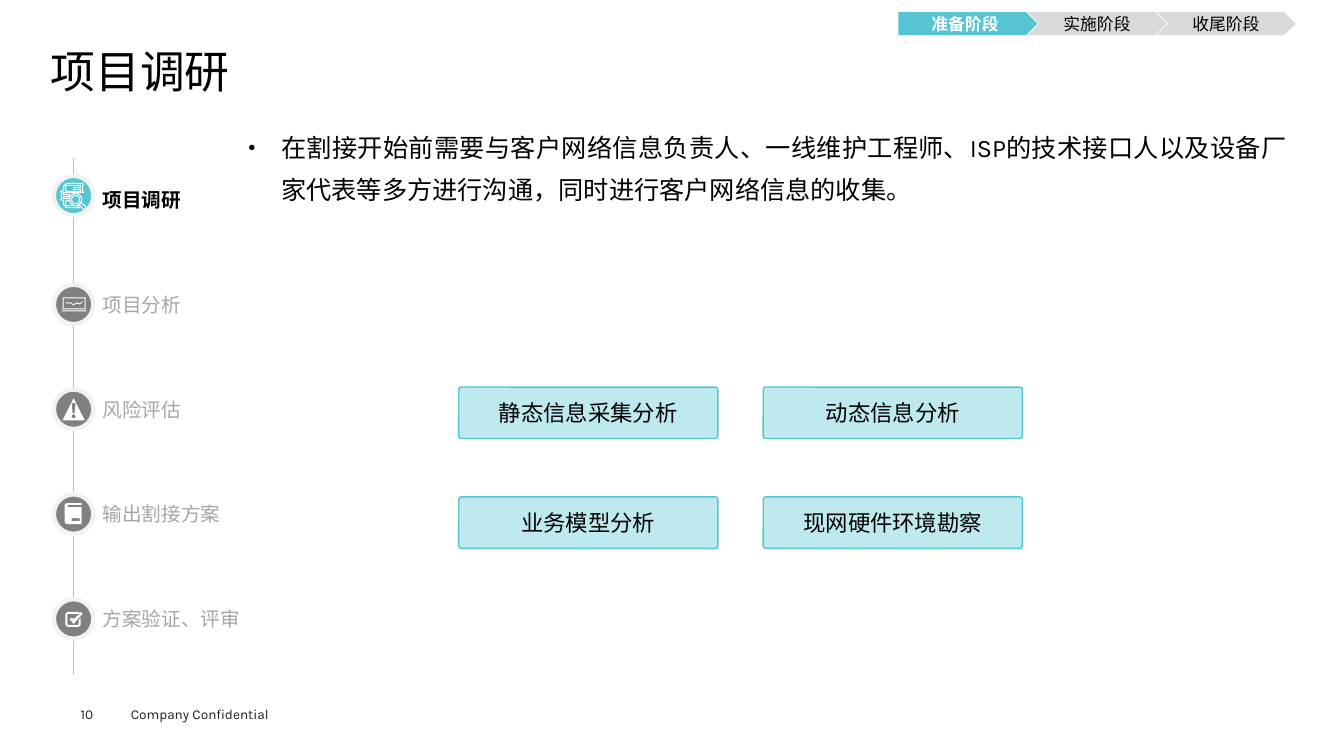
from math import cos, pi, sin

from lxml.etree import SubElement
from pptx import Presentation
from pptx.dml.color import RGBColor
from pptx.enum.shapes import MSO_CONNECTOR, MSO_SHAPE
from pptx.enum.text import MSO_ANCHOR, MSO_AUTO_SIZE, PP_ALIGN
from pptx.oxml.ns import qn
from pptx.util import Inches, Pt

BLACK = RGBColor(0x00, 0x00, 0x00)
WHITE = RGBColor(0xFF, 0xFF, 0xFF)
INK = RGBColor(0x1D, 0x1D, 0x1B)
TEAL = RGBColor(0x56, 0xC4, 0xD2)
PALE_TEAL = RGBColor(0xBE, 0xE9, 0xEE)
DARK_GREY = RGBColor(0x80, 0x80, 0x80)
LABEL_GREY = RGBColor(0xA6, 0xA6, 0xA6)
LINE_GREY = RGBColor(0xBF, 0xBF, 0xBF)
PHASE_GREY = RGBColor(0xD9, 0xD9, 0xD9)
RING_GREY = RGBColor(0xF2, 0xF2, 0xF2)


def write(shape, text, size, color, bold=False, align=PP_ALIGN.LEFT,
          anchor=MSO_ANCHOR.MIDDLE, margins=(0, 0)):
    """Fill a shape with one styled paragraph; margins are (sides, top and bottom)."""
    frame = shape.text_frame
    frame.text = text
    frame.word_wrap = True
    frame.auto_size = MSO_AUTO_SIZE.NONE
    frame.vertical_anchor = anchor
    frame.margin_left = frame.margin_right = Inches(margins[0])
    frame.margin_top = frame.margin_bottom = Inches(margins[1])
    paragraph = frame.paragraphs[0]
    paragraph.alignment = align
    font = paragraph.runs[0].font
    font.name, font.size, font.bold = "Karla", Pt(size), bold
    font.color.rgb = color
    return paragraph


def circle_points(x, y, radius):
    return [(x + radius * cos(pi * k / 12), y + radius * sin(pi * k / 12))
            for k in range(24)]


prs = Presentation()
prs.slide_width, prs.slide_height = Inches(13.33), Inches(7.5)
slide = prs.slides.add_slide(prs.slide_layouts[1])
shapes = slide.shapes

# Title and body
title = shapes.title
title.left, title.top = Inches(0.5), Inches(0.49)
title.width, title.height = Inches(12.35), Inches(0.53)
heading = write(title, "项目调研", 32, BLACK, anchor=MSO_ANCHOR.TOP)
heading.line_spacing = 0.9

body = slide.placeholders[1]
body.left, body.top = Inches(2.37), Inches(1.15)
body.width, body.height = Inches(10.48), Inches(5.34)
briefing = write(
    body,
    "在割接开始前需要与客户网络信息负责人、一线维护工程师、ISP的技术接口人以及设备厂家代表等多方进行沟通，"
    "同时进行客户网络信息的收集。",
    18, BLACK, align=PP_ALIGN.JUSTIFY, anchor=MSO_ANCHOR.TOP, margins=(0.09, 0.04))
properties = briefing._p.get_or_add_pPr()
properties.set("marL", str(Inches(0.33)))
properties.set("indent", str(-Inches(0.33)))
SubElement(properties, qn("a:buSzPct")).set("val", "50000")
SubElement(properties, qn("a:buChar")).set("char", "●")
briefing.line_spacing = 1.4
briefing.space_before = Pt(0)

# Footer
confidentiality = shapes.add_textbox(Inches(1.2), Inches(6.95), Inches(1.8), Inches(0.27))
write(confidentiality, "Company Confidential", 9.7, INK,
      anchor=MSO_ANCHOR.TOP, margins=(0.1, 0.05))
page_number = shapes.add_textbox(Inches(0.8), Inches(7), Inches(0.55), Inches(0.16))
write(page_number, "10", 9.7, INK, anchor=MSO_ANCHOR.TOP)

# Timeline: outlines are hundredths of an inch from the centre of each circle
survey_icon = [
    [(-7, -12), (9, -12), (10, -11), (9, -10), (9, -4), (10, -3), (-10, -3),
     (-10, -1), (-4, -1), (-4, 1), (-10, 1), (-10, 3), (-4, 3), (-4, 5),
     (-7, 5), (-8, 6), (-8, 9), (-7, 10), (4, 10), (6, 12), (-7, 12),
     (-10, 9), (-10, 5), (-13, 4), (-12, 3), (-12, -3), (-13, -4), (-10, -5),
     (-10, -9)],
    [(-7, -10), (7, -10), (7, -8), (0, -8), (0, -6), (7, -6), (7, -4),
     (-7, -4), (-8, -6), (-8, -9)],
    circle_points(2, 4, 4),
    circle_points(2, 4, 6),
    [(7, 7), (12, 11), (12, 13), (10, 14), (5, 9)],
]
analysis_icon = [
    [(-11, -7), (12, -7), (12, 5), (-11, 5)],
    [(-10, -6), (11, -6), (11, 4), (-10, 4)],
    [(-8, -2), (-3, -2), (0, 0), (3, -2), (6, -1), (9, -3),
     (9, -2), (6, 0), (3, -1), (0, 1), (-3, -1), (-8, -1)],
    [(-12, 6), (13, 6), (12, 7), (-11, 7)],
]
risk_icon = [
    [(0, -11), (11, 11), (-11, 11)],
    [(-2, -6), (2, -6), (1, 4), (-1, 4)],
    circle_points(0, 7, 2),
]
plan_icon = [
    [(-7, -11), (8, -11), (8, -9), (-6, -9), (-6, -7), (8, -7), (8, 10),
     (-7, 10), (-9, 8), (-9, -9)],
    [(-2, 4), (6, 4), (6, 7), (-2, 7)],
]
review_icon = [
    [(-6, -7), (6, -7), (5, -5), (-6, -5), (-6, 6), (5, 6), (5, 1), (7, -1),
     (7, 6), (5, 8), (-6, 8), (-8, 6), (-8, -5)],
    [(-4, 0), (-2, -1), (0, 0), (5, -4), (7, -7), (9, -5), (0, 5)],
]
steps = [
    ("项目调研", survey_icon),
    ("项目分析", analysis_icon),
    ("风险评估", risk_icon),
    ("输出割接方案", plan_icon),
    ("方案验证、评审", review_icon),
]
AXIS_X, DIAMETER = 0.73, 0.39

axis = shapes.add_connector(MSO_CONNECTOR.STRAIGHT, Inches(AXIS_X), Inches(1.57),
                            Inches(AXIS_X), Inches(6.7))
axis.line.color.rgb = LINE_GREY
axis.line.width = Pt(0.25)
SubElement(axis._element.spPr, qn("a:effectLst"))

for i, (step, icon) in enumerate(steps):
    current = i == 0
    label_y = 1.98 + 1.04 * i
    circle_y = label_y - 0.04 if current else label_y

    label = shapes.add_textbox(Inches(0.92), Inches(label_y - 0.24), Inches(1.73), Inches(0.48))
    write(label, step, 14, BLACK if current else LABEL_GREY, bold=current, margins=(0.1, 0.05))

    marker = shapes.add_shape(MSO_SHAPE.OVAL, Inches(AXIS_X - DIAMETER / 2),
                              Inches(circle_y - DIAMETER / 2), Inches(DIAMETER), Inches(DIAMETER))
    marker.shadow.inherit = False
    marker.fill.solid()
    marker.fill.fore_color.rgb = TEAL if current else DARK_GREY
    marker.line.color.rgb = RING_GREY
    marker.line.width = Pt(3)

    outlines = [[(x * 10, y * 10) for x, y in outline] for outline in icon]
    builder = shapes.build_freeform(*outlines[0][0], scale=Inches(0.001))
    builder.add_line_segments(outlines[0][1:], close=True)
    for outline in outlines[1:]:
        builder.move_to(*outline[0])
        builder.add_line_segments(outline[1:], close=True)
    symbol = builder.convert_to_shape(Inches(AXIS_X), Inches(circle_y))
    symbol.shadow.inherit = False
    if current:
        symbol.fill.background()
        symbol.line.color.rgb = WHITE
        symbol.line.width = Pt(0.75)
    else:
        symbol.fill.solid()
        symbol.fill.fore_color.rgb = WHITE
        symbol.line.fill.background()

# Phase bar
for i, phase in enumerate(["准备阶段", "实施阶段", "收尾阶段"]):
    current = i == 0
    arrow = shapes.add_shape(MSO_SHAPE.PENTAGON if current else MSO_SHAPE.CHEVRON,
                             Inches(8.91 + 1.28 * i), Inches(0.12), Inches(1.38), Inches(0.23))
    arrow.shadow.inherit = False
    arrow.fill.solid()
    arrow.fill.fore_color.rgb = TEAL if current else PHASE_GREY
    arrow.line.fill.background()
    write(arrow, phase, 12, WHITE if current else BLACK, bold=current, align=PP_ALIGN.CENTER)

# Survey topics
topics = [["静态信息采集分析", "动态信息分析"], ["业务模型分析", "现网硬件环境勘察"]]
for row, names in enumerate(topics):
    for column, name in enumerate(names):
        topic = shapes.add_shape(MSO_SHAPE.ROUNDED_RECTANGLE, Inches(4.55 + 3.02 * column),
                                 Inches(3.84 + 1.09 * row), Inches(2.57), Inches(0.51))
        topic.adjustments[0] = 0.05
        topic.shadow.inherit = False
        topic.fill.solid()
        topic.fill.fore_color.rgb = PALE_TEAL
        topic.line.color.rgb = TEAL
        topic.line.width = Pt(1)
        write(topic, name, 16, BLACK, align=PP_ALIGN.CENTER)

prs.save("out.pptx")
